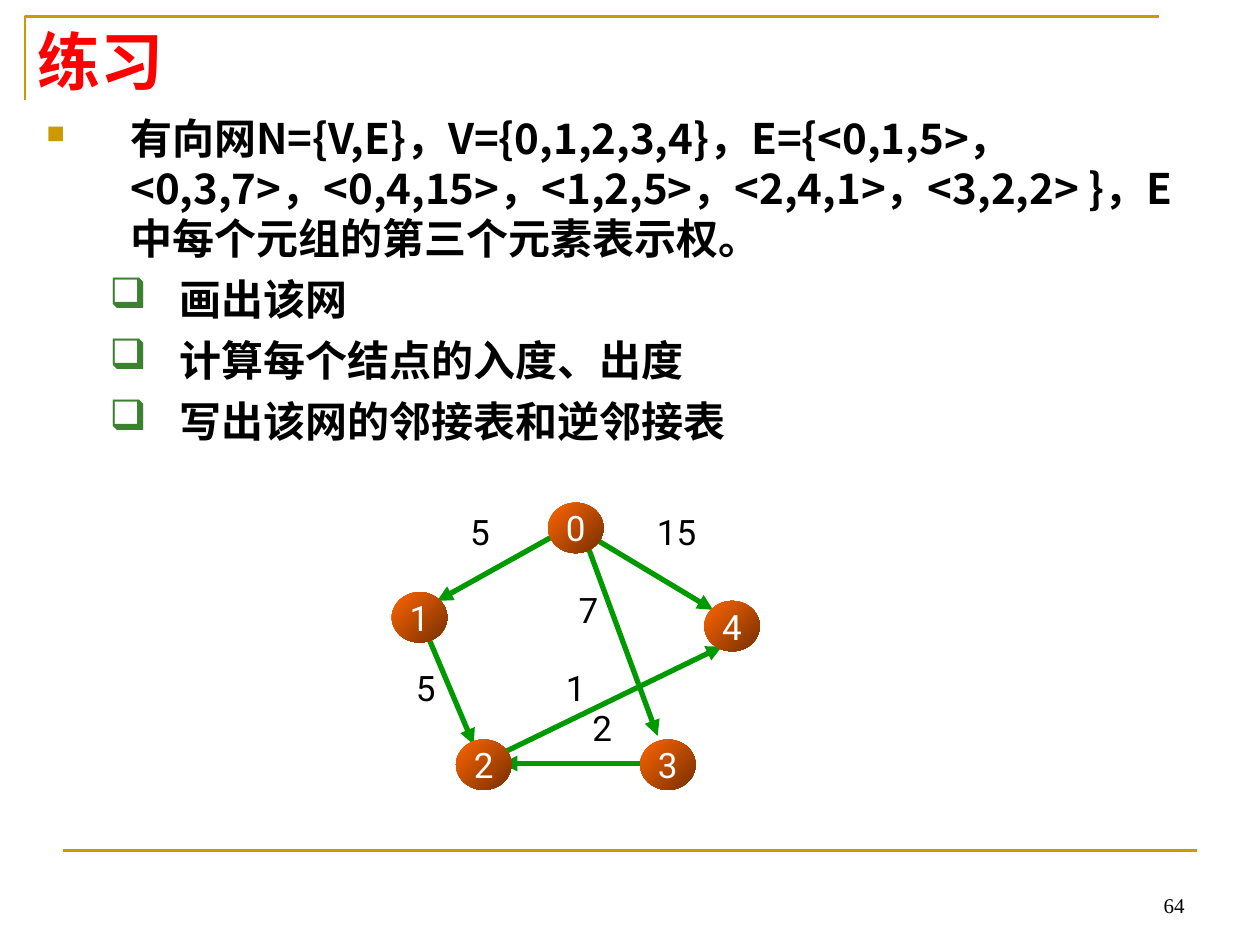
from dataclasses import dataclass

from lxml.etree import SubElement
from pptx import Presentation
from pptx.dml.color import RGBColor
from pptx.enum.shapes import MSO_CONNECTOR, MSO_SHAPE
from pptx.enum.text import MSO_ANCHOR, PP_ALIGN
from pptx.oxml.ns import qn
from pptx.util import Pt


@dataclass(frozen=True)
class Theme:
    gold: str = "CC9900"
    green: str = "3B812F"
    edge: str = "009900"
    red: str = "FF0000"
    black: str = "000000"
    white: str = "FFFFFF"
    node_light: str = "FF6600"
    node_dark: str = "762F00"
    serif: str = "Times New Roman"
    chinese: str = "Noto Sans CJK SC"
    sans: str = "Roboto"
    title_size: float = 36
    body_size: float = 24
    graph_size: float = 20
    number_size: float = 12


class SlideBuilder:
    """Draws styled elements on the current page, with lengths in points."""

    def __init__(self, page, theme):
        self.page = page
        self.theme = theme

    def style(self, para, font_name, size, color, bold=False):
        font = para.font
        font.name, font.size, font.bold = font_name, Pt(size), bold
        font.color.rgb = RGBColor.from_string(color)
        properties = para._p.get_or_add_pPr().find(qn("a:defRPr"))
        SubElement(properties, qn("a:ea")).set("typeface", self.theme.chinese)

    def text(self, words, area, font_name, size, color, bold=False,
             align=PP_ALIGN.LEFT, anchor=MSO_ANCHOR.TOP, spacing=None):
        box = self.page.shapes.add_textbox(*map(Pt, area))
        frame = box.text_frame
        frame.word_wrap = True
        frame.vertical_anchor = anchor
        para = frame.paragraphs[0]
        para.text = words
        para.alignment = align
        if spacing:
            para.line_spacing = Pt(spacing)
        self.style(para, font_name, size, color, bold)

    def bullets(self, items, area, levels):
        theme = self.theme
        frame = self.page.shapes.add_textbox(*map(Pt, area)).text_frame
        frame.word_wrap = True
        for index, (level, words) in enumerate(items):
            para = frame.paragraphs[0] if index == 0 else frame.add_paragraph()
            para.text = words
            para.level = level
            para.line_spacing = Pt(28.8)
            if index:
                para.space_before = Pt(6)
            symbol, color, percent, margin, indent = levels[level]
            properties = para._p.get_or_add_pPr()
            properties.set("marL", str(Pt(margin)))
            properties.set("indent", str(Pt(indent)))
            bullet_color = SubElement(properties, qn("a:buClr"))
            SubElement(bullet_color, qn("a:srgbClr")).set("val", color)
            SubElement(properties, qn("a:buSzPct")).set("val", str(percent * 1000))
            SubElement(properties, qn("a:buChar")).set("char", symbol)
            self.style(para, theme.chinese, theme.body_size, theme.black, True)

    def line(self, start, end, color, width, arrow=False):
        connector = self.page.shapes.add_connector(
            MSO_CONNECTOR.STRAIGHT, *map(Pt, (*start, *end)))
        connector.line.color.rgb = RGBColor.from_string(color)
        connector.line.width = Pt(width)
        if arrow:
            outline = connector.line._get_or_add_ln()
            SubElement(outline, qn("a:tailEnd")).set("type", "triangle")
        SubElement(connector._element.spPr, qn("a:effectLst"))

    def corner(self, points, color, width):
        first, *rest = [tuple(map(Pt, point)) for point in points]
        builder = self.page.shapes.build_freeform(*first)
        builder.add_line_segments(rest, close=False)
        shape = builder.convert_to_shape()
        shape.shadow.inherit = False
        shape.fill.background()
        shape.line.color.rgb = RGBColor.from_string(color)
        shape.line.width = Pt(width)

    def node(self, name, left, top):
        theme = self.theme
        shape = self.page.shapes.add_shape(
            MSO_SHAPE.OVAL, *map(Pt, (left, top, 31.7, 28.8)))
        shape.shadow.inherit = False
        shape.line.fill.background()
        shape.fill.gradient()
        shape.fill.gradient_angle = 315
        colors = (theme.node_light, theme.node_dark)
        for position, (stop, color) in enumerate(zip(shape.fill.gradient_stops, colors)):
            stop.position = position
            stop.color.rgb = RGBColor.from_string(color)
        frame = shape.text_frame
        frame.margin_left = frame.margin_right = 0
        frame.word_wrap = False
        frame.vertical_anchor = MSO_ANCHOR.MIDDLE
        para = frame.paragraphs[0]
        para.text = name
        para.alignment = PP_ALIGN.CENTER
        self.style(para, theme.sans, theme.graph_size, theme.white)

    def weight(self, words, left, top, width=38.9):
        theme = self.theme
        self.text(words, (left, top, width, 31.7), theme.sans,
                  theme.graph_size, theme.black, align=PP_ALIGN.CENTER)


def main():
    deck = Presentation()
    deck.slide_width, deck.slide_height = Pt(720), Pt(540)
    theme = Theme()
    page = deck.slides.add_slide(deck.slide_layouts[6])
    builder = SlideBuilder(page, theme)

    builder.corner([(14.4, 57), (14.4, 9.4), (662.4, 9.4)], theme.gold, 1.5)
    builder.line((36, 486), (684, 486), theme.gold, 1.5)
    builder.text("64", (516, 492, 168, 36), theme.serif, theme.number_size,
                 theme.black, align=PP_ALIGN.RIGHT, anchor=MSO_ANCHOR.BOTTOM)

    items = [
        (0, "有向网N={V,E}，V={0,1,2,3,4}，E={<0,1,5>，<0,3,7>，<0,4,15>，"
            "<1,2,5>，<2,4,1>，<3,2,2> }，E中每个元组的第三个元素表示权。"),
        (1, "画出该网"),
        (1, "计算每个结点的入度、出度"),
        (1, "写出该网的邻接表和逆邻接表"),
    ]
    levels = [("■", theme.gold, 60, 48, -48), ("❑", theme.green, 100, 76, -40)]
    builder.bullets(items, (19.4, 60.5, 674.6, 221), levels)
    builder.text("练习", (14.4, 9.4, 648, 51.1), theme.serif, theme.title_size,
                 theme.red, bold=True, spacing=43)

    edges = [
        ((339.1, 307.4), (407.5, 348.5)),
        ((244.8, 364.3), (270.7, 425.5)),
        ((323.3, 302.4), (249.8, 343.4)),
        ((334.1, 307.4), (375.8, 420.5)),
        ((365.8, 436.3), (286.6, 436.3)),
        ((286.6, 430.6), (412.6, 369.4)),
    ]
    for start, end in edges:
        builder.line(start, end, theme.edge, 3, arrow=True)

    nodes = [("1", 223.9, 338.4), ("3", 365.8, 422.6), ("2", 260.6, 422.6),
             ("4", 402.5, 343.4), ("0", 313.2, 287.3)]
    for node in nodes:
        builder.node(*node)

    weights = [("5", 254.9, 288), ("5", 223.9, 377.3), ("15", 355.7, 288, 61.9),
               ("1", 309.6, 377.3), ("7", 316.8, 332.6), ("2", 324.7, 400.3)]
    for weight in weights:
        builder.weight(*weight)

    deck.save("out.pptx")


if __name__ == "__main__":
    main()
